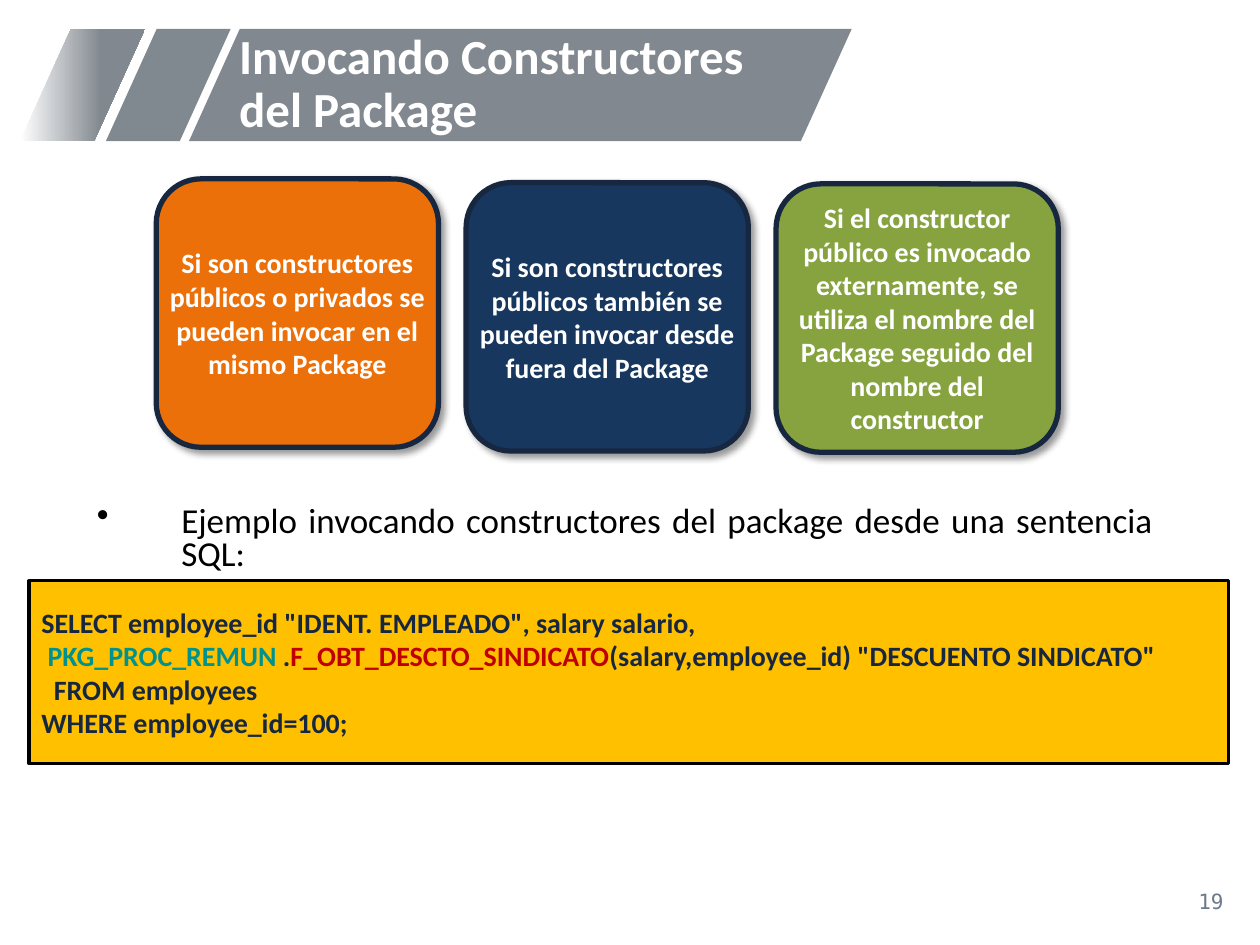
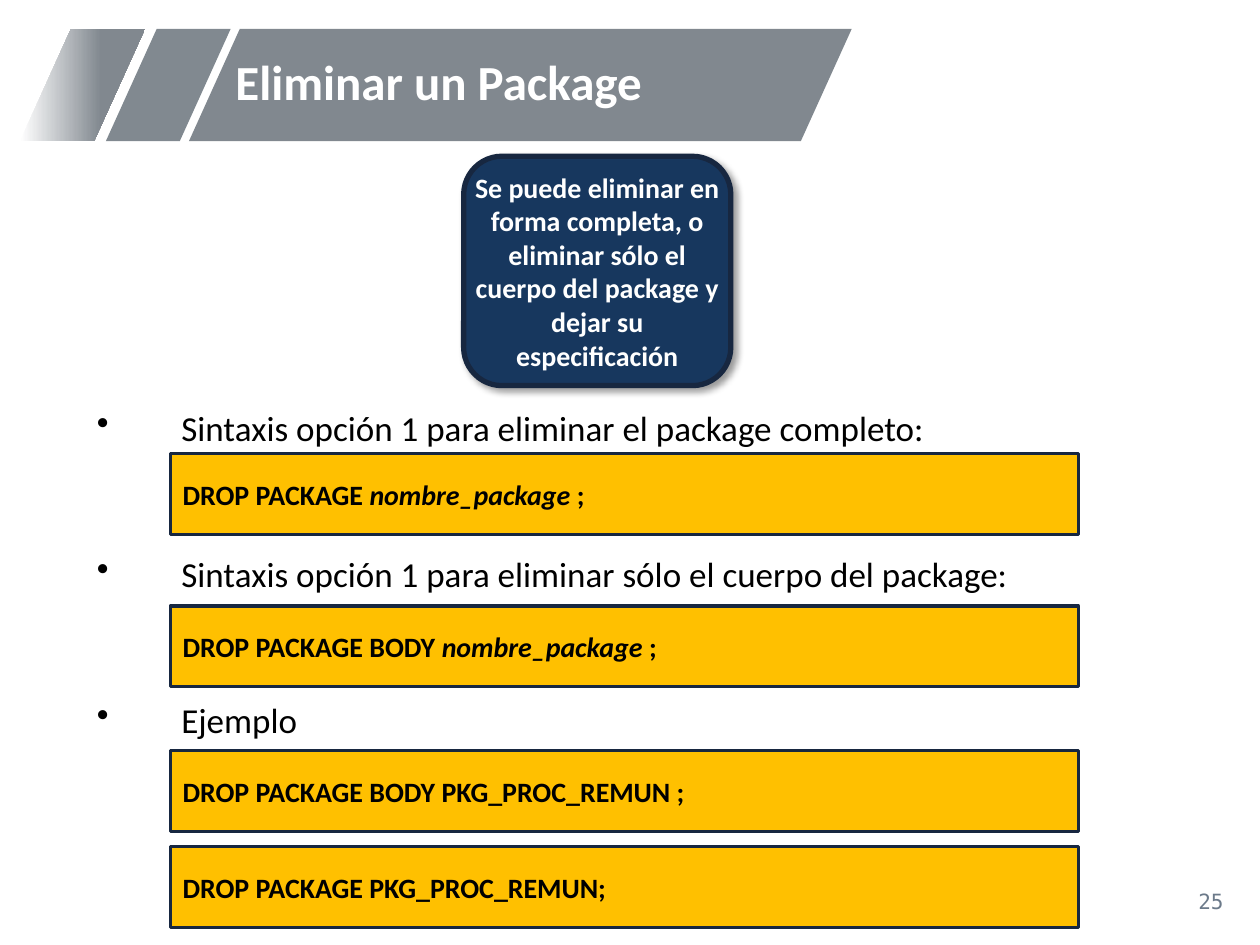
from lxml import etree
from pptx import Presentation
from pptx.dml.color import RGBColor
from pptx.enum.shapes import MSO_SHAPE
from pptx.enum.text import MSO_ANCHOR, PP_ALIGN
from pptx.oxml import parse_xml
from pptx.oxml.ns import nsdecls, qn
from pptx.util import Pt

COLORS = {
    "white": "FFFFFF", "black": "000000", "band": "81888F", "band_mid": "818990",
    "number": "6C7A8A", "navy": "172740", "blue": "17375E", "green": "86A33F",
    "orange": "EC700A", "amber": "FFC000", "teal": "00928F", "red": "C00000",
}
FONT, NUMBER_FONT = "Calibri", "DejaVu Sans Mono"

BAND_TOP, BAND_HEIGHT, BAND_SLANT = 16.56, 64.08, 0.453
BANDS = [(108, 378.72, "band"), (60.48, 71.28, "band_mid"), (11.52, 71.28, None)]
HANGING = 48.24
ITEM_GAP = 64.2

# Text is a list of paragraphs; each paragraph is a list of (text, run format).
# Boxes are (left, top, width, height).
CARD_LEFT, CARD_PITCH, CARD_WIDTH, CARD_HEIGHT = 89.28, 177.1, 161.28, 153.36
NAME = ("nombre_package ", {"italic": True})
CODE_LEFT, CODE_WIDTH, CODE_HEIGHT = 97.2, 519.12, 46.08

SLIDES = [
    {
        "title": "Invocando Constructores del Package", "title_left": 129.6, "number": "19",
        "cards": [
            ((CARD_LEFT + i * CARD_PITCH, top, CARD_WIDTH, CARD_HEIGHT), color, text)
            for i, (top, color, text) in enumerate([
                (102.24, "orange", "Si son constructores públicos o privados "
                                   "se pueden invocar en el mismo Package"),
                (104.4, "blue", "Si son constructores públicos también "
                                "se pueden invocar desde fuera del Package"),
                (105.12, "green", "Si el constructor público es invocado externamente, se utiliza "
                                  "el nombre del Package seguido del nombre del constructor"),
            ])
        ],
        "items_top": 285.84,
        "items": ["Ejemplo invocando constructores del package desde una sentencia SQL:"],
        "code_color": "navy", "code_line": "black",
        "code": [
            ((16.56, 331.92, 685.44, 104.4), [
                [('SELECT employee_id "IDENT. EMPLEADO", salary salario,', {})],
                [(" ", {}), ("PKG_PROC_REMUN", {"color": "teal"}), (" .", {}),
                 ("F_OBT_DESCTO_SINDICATO", {"color": "red"}),
                 ('(salary,employee_id) "DESCUENTO SINDICATO"', {})],
                [("  FROM employees", {})],
                [("WHERE employee_id=100;", {})],
            ]),
        ],
    },
    {
        "title": "Eliminar un Package", "title_left": 127.44, "number": "25",
        "cards": [
            ((264.96, 89.28, 152.64, 131.04), "blue",
             "Se puede eliminar en forma completa, o eliminar sólo el cuerpo "
             "del package y dejar su especificación"),
        ],
        "items_top": 233.28,
        "items": [
            "Sintaxis opción 1 para eliminar el package completo:",
            "Sintaxis opción 1 para eliminar sólo el cuerpo del package:",
            "Ejemplo",
        ],
        "code_color": "black", "code_line": "navy",
        "code": [
            ((CODE_LEFT, top, CODE_WIDTH, CODE_HEIGHT), [runs])
            for top, runs in [
                (259.2, [("DROP PACKAGE ", {}), NAME, (";", {})]),
                (346.32, [("DROP PACKAGE BODY ", {}), NAME, (";", {})]),
                (429.12, [("DROP PACKAGE BODY PKG_PROC_REMUN ;", {})]),
                (483.84, [("DROP PACKAGE PKG_PROC_REMUN;", {})]),
            ]
        ],
    },
]


def rgb(name):
    return RGBColor.from_string(COLORS[name])


def add_box(slide, kind, box, fill, line=None, line_width=0):
    sp = slide.shapes.add_shape(kind, *map(Pt, box))
    sp.shadow.inherit = False
    if fill:
        sp.fill.solid()
        sp.fill.fore_color.rgb = rgb(fill)
    if line:
        sp.line.color.rgb = rgb(line)
        sp.line.width = Pt(line_width)
    else:
        sp.line.fill.background()
    return sp


def add_textbox(slide, box):
    return slide.shapes.add_textbox(*map(Pt, box))


def write(sp, paragraphs, size=16, color="white", font=FONT, bold=False, align=PP_ALIGN.LEFT,
          anchor=MSO_ANCHOR.MIDDLE, inset=None, line_spacing=None, gap=0, bullet=False):
    """Fill a shape with a string or with paragraphs of (text, run format)."""
    if isinstance(paragraphs, str):
        paragraphs = [[(paragraphs, {})]]
    tf = sp.text_frame
    tf.word_wrap = True
    tf.vertical_anchor = anchor
    if inset is not None:
        tf.margin_left = tf.margin_top = tf.margin_right = tf.margin_bottom = Pt(inset)
    for i, runs in enumerate(paragraphs):
        p = tf.add_paragraph() if i else tf.paragraphs[0]
        if bullet:
            pPr = p._p.get_or_add_pPr()
            pPr.set("marL", str(Pt(HANGING)))
            pPr.set("indent", str(-Pt(HANGING)))
            etree.SubElement(pPr, qn("a:buChar")).set("char", "•")
        p.alignment = align
        if line_spacing:
            p.line_spacing = line_spacing
        if i and gap:
            p.space_before = Pt(gap)
        for text, fmt in runs:
            r = p.add_run()
            r.text = text
            r.font.name, r.font.size, r.font.bold = font, Pt(size), bold
            r.font.italic = fmt.get("italic", False)
            r.font.color.rgb = rgb(fmt.get("color", color))


def add_card_shadow(sp):
    effects = sp._element.spPr.find(qn("a:effectLst"))
    effects.append(parse_xml(
        f'<a:outerShdw {nsdecls("a")} blurRad="{Pt(4)}" dist="{Pt(3)}" dir="{45 * 60000}" '
        f'algn="tl" rotWithShape="0"><a:srgbClr val="{COLORS["black"]}">'
        '<a:alpha val="40000"/></a:srgbClr></a:outerShdw>'))


def add_frame(slide, title, title_left, number):
    """Draw what every slide shares: slanted bands, title and slide number."""
    for left, width, color in BANDS:
        sp = add_box(slide, MSO_SHAPE.PARALLELOGRAM, (left, BAND_TOP, width, BAND_HEIGHT), color)
        sp.adjustments[0] = BAND_SLANT
        if color is None:
            sp.fill.gradient()
            sp.fill.gradient_angle = 0
            for stop, (position, name) in zip(sp.fill.gradient_stops,
                                              [(0, "white"), (0.65, "band")]):
                stop.position = position
                stop.color.rgb = rgb(name)
    write(add_textbox(slide, (544.32, 500.4, 162, 28.8)), number, size=12, color="number",
          font=NUMBER_FONT, align=PP_ALIGN.RIGHT)
    write(add_textbox(slide, (title_left, BAND_TOP, 337.68, BAND_HEIGHT)), title, size=28,
          bold=True, line_spacing=0.9)


def build_slide(prs, content):
    s = prs.slides.add_slide(prs.slide_layouts[6])
    add_frame(s, content["title"], content["title_left"], content["number"])
    write(add_textbox(s, (48.24, content["items_top"], 617.76, 32.4)),
          [[(item, {})] for item in content["items"]], size=20, color="black",
          align=PP_ALIGN.JUSTIFY, anchor=MSO_ANCHOR.TOP, line_spacing=0.8,
          gap=ITEM_GAP, bullet=True)
    for box, lines in content["code"]:
        sp = add_box(s, MSO_SHAPE.RECTANGLE, box, "amber", content["code_line"], 1.75)
        write(sp, lines, color=content["code_color"], bold=True)
    for box, color, text in content["cards"]:
        sp = add_box(s, MSO_SHAPE.ROUNDED_RECTANGLE, box, color, "navy", 3)
        add_card_shadow(sp)
        write(sp, text, bold=True, align=PP_ALIGN.CENTER, inset=0)


def main():
    prs = Presentation()
    prs.slide_width, prs.slide_height = Pt(720), Pt(540)
    for content in SLIDES:
        build_slide(prs, content)
    prs.save("out.pptx")


if __name__ == "__main__":
    main()
